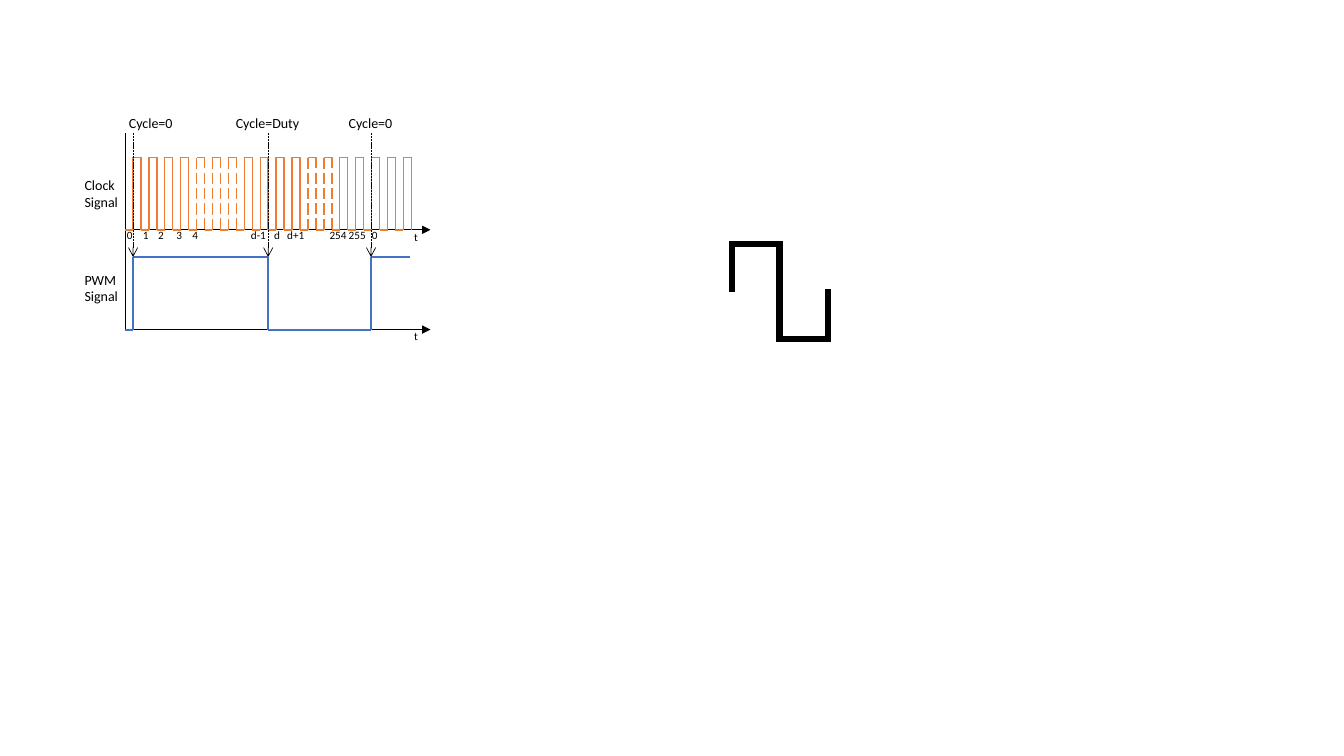
from lxml import etree
from pptx import Presentation
from pptx.dml.color import RGBColor
from pptx.enum import dml, shapes, text
from pptx.oxml.ns import qn
from pptx.util import Inches, Pt

BLACK, ORANGE, BLUE = "000000", "ED7D31", "4472C4"
LONG, DOTTED = dml.MSO_LINE.LONG_DASH, dml.MSO_LINE.SQUARE_DOT

LEFT, AXIS_END, TOP = 1.24, 4.27, 1.32
CLOCK_HIGH, CLOCK_LOW = 1.56, 2.28
PWM_HIGH, PWM_LOW = 2.55, 3.27
PULSES, DASHED_PULSES = 18, (4, 5, 6, 11, 12)
PITCH = 2.84 / PULSES
CYCLE_START, DUTY_END, NEXT_CYCLE = 1.32, 2.66, 3.68


def add_path(parent, points, color, width, dash=None, arrow=None):
    """Join consecutive points with straight connectors."""
    for (x1, y1), (x2, y2) in zip(points, points[1:]):
        c = parent.add_connector(shapes.MSO_CONNECTOR.STRAIGHT, Inches(x1),
                                 Inches(y1), Inches(x2), Inches(y2))
        c.line.color.rgb = RGBColor.from_string(color)
        c.line.width = Pt(width)
        if dash:
            c.line.dash_style = dash
        if arrow:
            etree.SubElement(c.line._get_or_add_ln(), qn("a:tailEnd"), type=arrow)
        etree.SubElement(c._element.spPr, qn("a:effectLst"))


def add_text(content, x, y, w, h, size=10, wrap=False, color=BLACK, tabs=()):
    """Add a text box; tabs are left tab stops in inches from the text edge."""
    tf = s.shapes.add_textbox(Inches(x), Inches(y), Inches(w), Inches(h)).text_frame
    tf.word_wrap = wrap
    tf.auto_size = text.MSO_AUTO_SIZE.SHAPE_TO_FIT_TEXT
    tf.text = content
    for p in tf.paragraphs:
        for r in p.runs:
            r.font.name, r.font.size = "Calibri", Pt(size)
            r.font.color.rgb = RGBColor.from_string(color)
        if tabs:
            stops = etree.SubElement(p._p.get_or_add_pPr(), qn("a:tabLst"))
            for pos in tabs:
                etree.SubElement(stops, qn("a:tab"), pos=str(Inches(pos)), algn="l")


prs = Presentation()
prs.slide_width, prs.slide_height = Inches(13.33), Inches(7.5)
s = prs.slides.add_slide(prs.slide_layouts[6])

# Axes
add_path(s.shapes, [(LEFT, TOP), (LEFT, PWM_LOW)], BLACK, 0.5)
for y in (CLOCK_LOW, PWM_LOW):
    add_path(s.shapes, [(LEFT, y), (AXIS_END, y)], BLACK, 0.5, arrow="triangle")

# Clock signal, one group per pulse
for i in range(PULSES):
    x0 = LEFT + i * PITCH
    x1, x2 = x0 + PITCH / 2, x0 + PITCH
    add_path(s.shapes.add_group_shape().shapes,
             [(x0, CLOCK_LOW), (x1, CLOCK_LOW), (x1, CLOCK_HIGH),
              (x2, CLOCK_HIGH), (x2, CLOCK_LOW)],
             ORANGE, 1, dash=LONG if i in DASHED_PULSES else None)

# PWM signal
add_path(s.shapes,
         [(LEFT, PWM_LOW), (CYCLE_START, PWM_LOW), (CYCLE_START, PWM_HIGH),
          (DUTY_END, PWM_HIGH), (DUTY_END, PWM_LOW), (NEXT_CYCLE, PWM_LOW),
          (NEXT_CYCLE, PWM_HIGH), (4.07, PWM_HIGH)], BLUE, 1.5)

# Cycle markers
for x, label, label_x, label_w in ((CYCLE_START, "Cycle=0", 1.18, 0.64),
                                   (DUTY_END, "Cycle=Duty", 2.24, 0.84),
                                   (NEXT_CYCLE, "Cycle=0", 3.36, 0.64)):
    add_path(s.shapes, [(x, TOP), (x, PWM_HIGH)], BLACK, 0.5, dash=DOTTED, arrow="arrow")
    add_text(label, label_x, 1.09, label_w, 0.27)

# Signal, axis and tick labels
add_text("Clock\nSignal", 0.74, 1.7, 0.54, 0.44)
add_text("PWM\vSignal", 0.74, 2.64, 0.54, 0.44)
for y in (2.24, 3.22):
    add_text("t", 4.01, y, 0.24, 0.24, size=8)
ticks = ["0", "1", "2", "3", "4", "d-1", "d", "d+1", "254", "255", "0"]
add_text("\t".join(ticks), 1.16, 2.22, 2.75, 0.24, size=8, wrap=True,
         tabs=(0.16, 0.31, 0.49, 0.65, 1.23, 1.46, 1.59, 2.01, 2.2, 2.43))

# Square wave symbol
for wave_line in ([(7.26, 2.9), (7.26, 2.42)], [(7.73, 3.39), (7.73, 2.39)],
                  [(8.21, 3.39), (8.21, 2.87)], [(7.76, 2.42), (7.23, 2.42)],
                  [(8.24, 3.36), (7.71, 3.36)]):
    add_path(s.shapes, wave_line, BLACK, 4.5)

prs.save("out.pptx")
